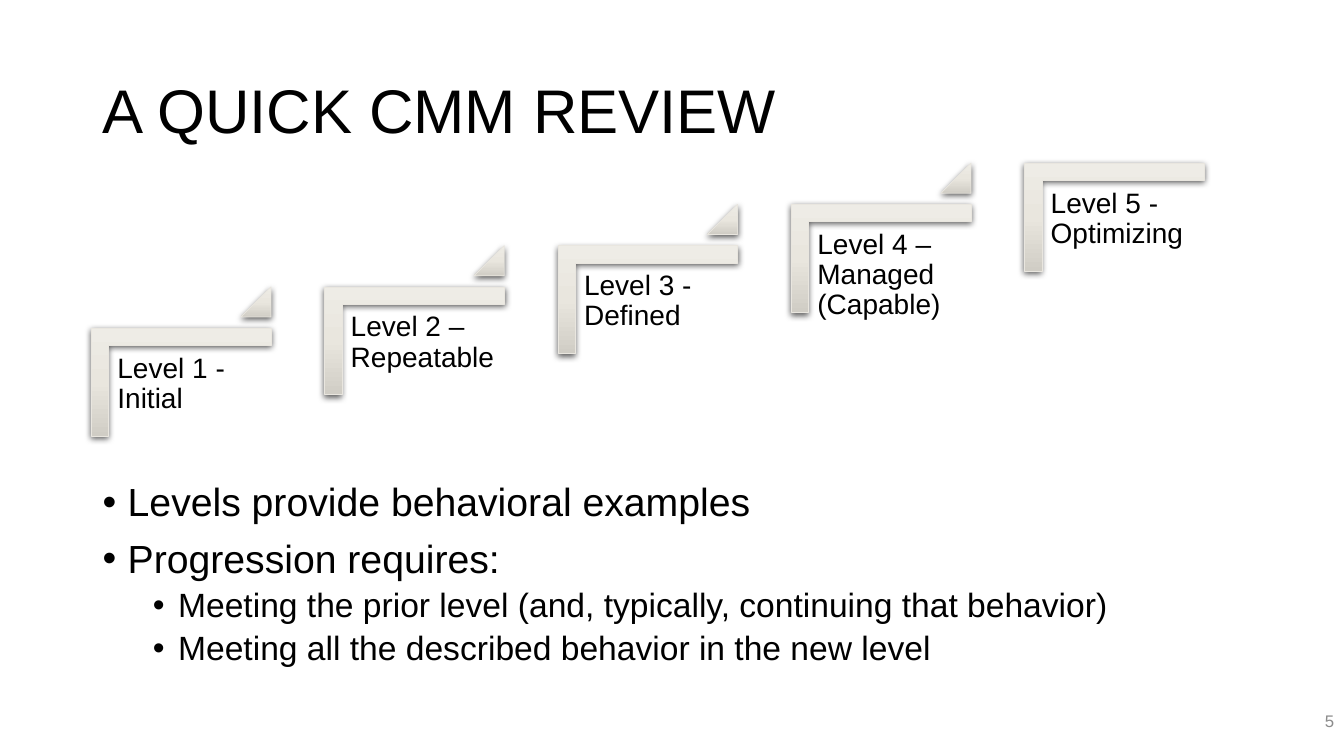
from copy import deepcopy

from lxml.etree import SubElement
from pptx import Presentation
from pptx.dml.color import RGBColor
from pptx.enum.shapes import MSO_SHAPE as Preset
from pptx.enum.text import MSO_ANCHOR as Anchor, MSO_AUTO_SIZE as AutoSize, PP_ALIGN as Align
from pptx.oxml.ns import qn
from pptx.util import Cm, Pt

FONT = "Arial"
BLACK = "000000"
GRADIENT = ((0, "EEECE6"), (0.5, "E9E6DE"), (1, "D0CDC5"))
LEVELS = (
    "Level 1 - Initial",
    "Level 2 – Repeatable",
    "Level 3 - Defined",
    "Level 4 – Managed (Capable)",
    "Level 5 - Optimizing",
)
POINTS = (
    (0, "Levels provide behavioral examples"),
    (0, "Progression requires:"),
    (1, "Meeting the prior level (and, typically, continuing that behavior)"),
    (1, "Meeting all the described behavior in the new level"),
)


def color(value):
    """Turn a hex string into a colour."""
    return RGBColor.from_string(value)


def place(shape, left, top, width, height):
    """Move and size a shape, in centimetres."""
    shape.left, shape.top = Cm(left), Cm(top)
    shape.width, shape.height = Cm(width), Cm(height)


def add_run(paragraph, text, size, fill=BLACK):
    """Add one formatted run to a paragraph."""
    run = paragraph.add_run()
    run.text = text
    run.font.name, run.font.size = FONT, Pt(size)
    run.font.color.rgb = color(fill)


def add_text_box(slide, box, inset):
    """Add a wrapping text box and return its text frame."""
    frame = slide.shapes.add_textbox(*(Cm(length) for length in box)).text_frame
    frame.word_wrap = True
    frame.margin_left = frame.margin_right = Cm(inset)
    frame.margin_top = frame.margin_bottom = Cm(inset)
    return frame


def add_stone(slide, preset, box, adjustments):
    """Add a shape with the beige gradient, thin outline and soft shadow."""
    shape = slide.shapes.add_shape(preset, *(Cm(length) for length in box))
    for index, value in enumerate(adjustments):
        shape.adjustments[index] = value
    shape.fill.gradient()
    shape.fill.gradient_angle = 270
    properties = shape.element.spPr
    gradient = properties.find(qn("a:gradFill"))
    gradient.set("rotWithShape", "0")
    stops = gradient.find(qn("a:gsLst"))
    stops.insert(1, deepcopy(stops[0]))
    for stop, (position, value) in zip(shape.fill.gradient_stops, GRADIENT):
        stop.position, stop.color.rgb = position, color(value)
    shape.line.color.rgb = color("E9E6DF")
    shape.line.width = Pt(0.5)
    shape.shadow.inherit = False
    shadow = SubElement(properties.find(qn("a:effectLst")), qn("a:outerShdw"),
                        blurRad=str(Pt(4.5)), dist=str(Pt(1.5)),
                        dir="5400000", algn="ctr", rotWithShape="0")
    black = SubElement(shadow, qn("a:srgbClr"), val=BLACK)
    SubElement(black, qn("a:alpha"), val="63000")
    return shape


def add_title(slide, text, box):
    """Fill the title placeholder."""
    title = slide.shapes.title
    place(title, *box)
    frame = title.text_frame
    frame.auto_size, frame.vertical_anchor = AutoSize.NONE, Anchor.MIDDLE
    paragraph = frame.paragraphs[0]
    paragraph.alignment, paragraph.line_spacing = Align.LEFT, 0.9
    add_run(paragraph, text, 44)


def add_step(slide, text, left, top, has_next):
    """Draw one step of the staircase, its corner placed at left and top."""
    width, height = 4.53, 2.72
    shift = (width - height) / 2
    corner = add_stone(slide, Preset.CORNER,
                       (left + shift, top - shift, height, width), (0.161, 0.161))
    corner.rotation = 90
    frame = add_text_box(slide, (left + 0.46, top + 0.45, 4.09, 3.58), 0.2)
    paragraph = frame.paragraphs[0]
    paragraph.line_spacing, paragraph.space_after = 0.9, Pt(7)
    add_run(paragraph, text, 20)
    if has_next:
        side = 0.76
        add_stone(slide, Preset.ISOSCELES_TRIANGLE,
                  (left + width - side, top - 1.04, side, side), (1,))


def add_staircase(slide, left, top):
    """Draw the levels rising from the lowest step at left and top."""
    for index, text in enumerate(LEVELS):
        add_step(slide, text, left + 5.88 * index, top - 1.04 * index,
                 index < len(LEVELS) - 1)


def add_points(slide, box):
    """Fill the body placeholder with the bulleted list."""
    body = slide.placeholders[1]
    place(body, *box)
    frame = body.text_frame
    frame.auto_size = AutoSize.NONE
    for index, (level, text) in enumerate(POINTS):
        paragraph = frame.add_paragraph() if index else frame.paragraphs[0]
        paragraph.level, paragraph.line_spacing = level, 0.9
        paragraph.space_before = Pt(5 if level else 10)
        add_run(paragraph, text, 24 if level else 28)
        properties = paragraph._p.get_or_add_pPr()
        properties.set("marL", str(Cm(0.635 + 1.27 * level)))
        properties.set("indent", str(-Cm(0.635)))
        SubElement(properties, qn("a:buFont"), typeface=FONT)
        SubElement(properties, qn("a:buChar"), char="•")


def add_slide_number(slide, text, box):
    """Write the slide number at the right of its box."""
    frame = add_text_box(slide, box, 0.13)
    frame.margin_left = frame.margin_right = Cm(0.25)
    frame.vertical_anchor = Anchor.MIDDLE
    paragraph = frame.paragraphs[0]
    paragraph.alignment = Align.RIGHT
    add_run(paragraph, text, 12, "8C8C8C")


def main():
    """Build the slide and save it."""
    presentation = Presentation()
    presentation.slide_width, presentation.slide_height = Cm(33.87), Cm(19.05)
    slide = presentation.slides.add_slide(presentation.slide_layouts[1])
    add_title(slide, "A QUICK CMM REVIEW", (2.33, 1.01, 29.21, 3.68))
    add_points(slide, (2.33, 12.04, 29.21, 6))
    add_staircase(slide, 2.3, 8.27)
    add_slide_number(slide, "5", (26.25, 17.65, 7.62, 1.01))
    presentation.save("out.pptx")


if __name__ == "__main__":
    main()
